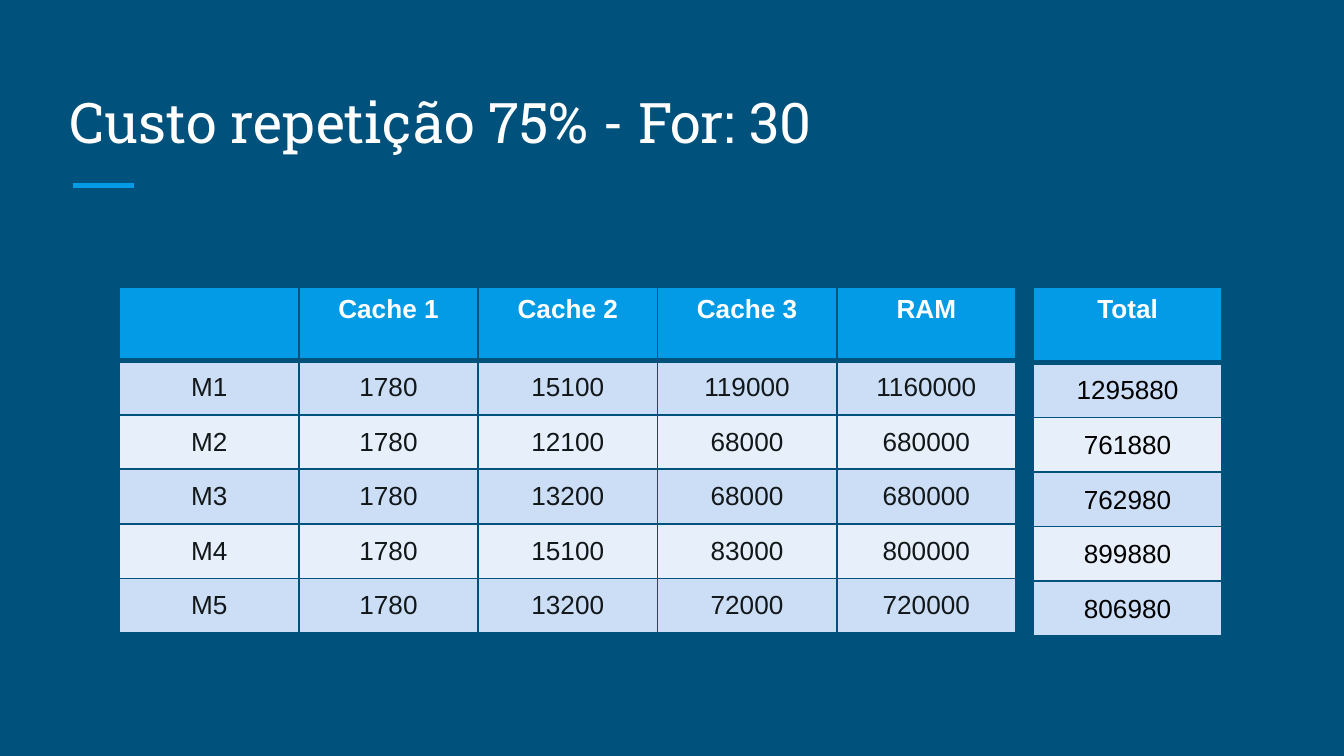
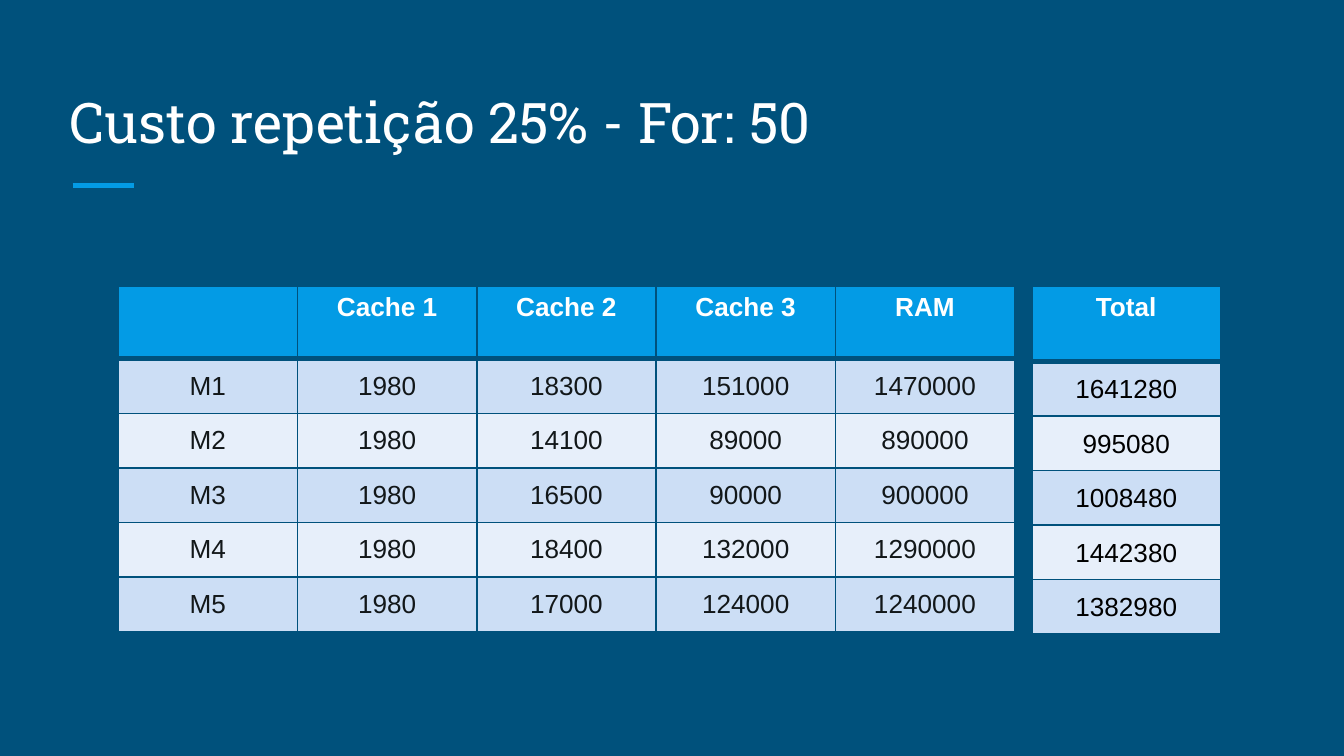
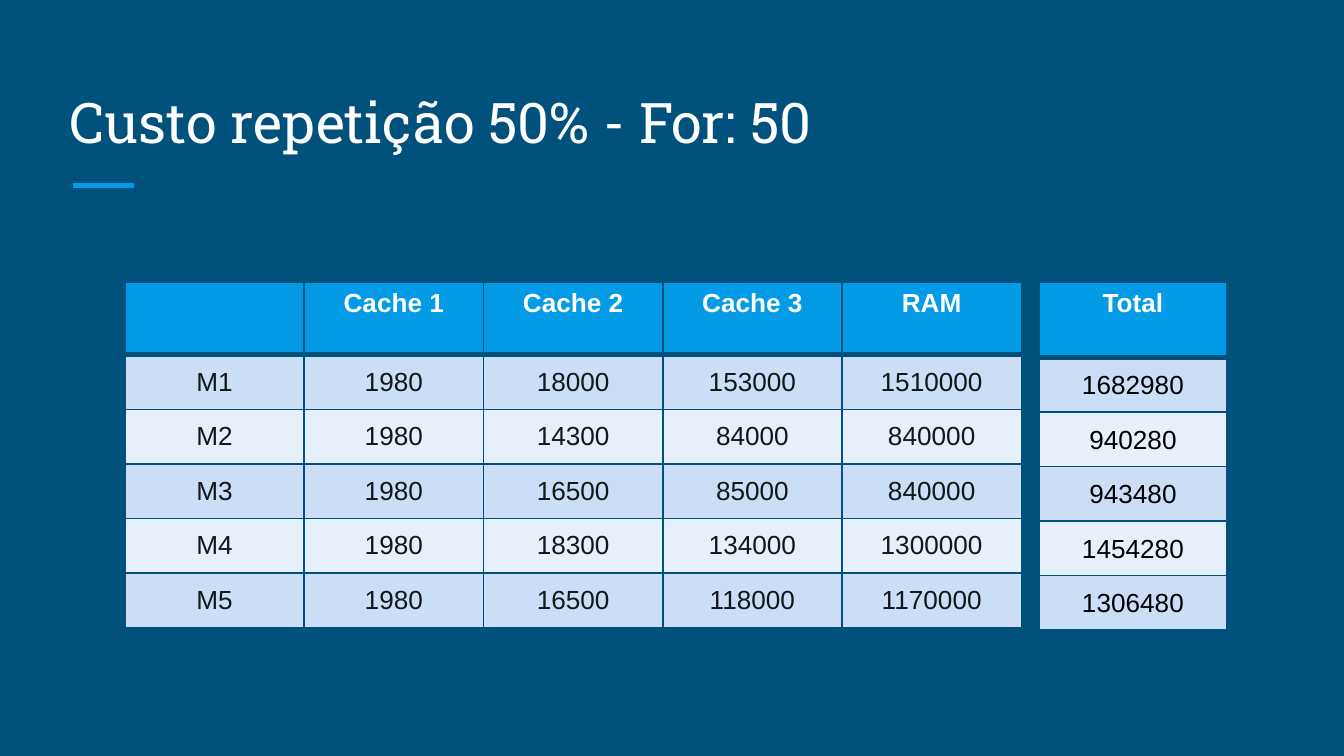
from dataclasses import dataclass

from lxml.etree import SubElement
from pptx import Presentation
from pptx.dml.color import RGBColor
from pptx.enum.shapes import MSO_CONNECTOR
from pptx.enum.text import MSO_ANCHOR, PP_ALIGN
from pptx.oxml.ns import qn
from pptx.slide import Slide
from pptx.table import _Cell
from pptx.util import Inches, Pt

NAVY = RGBColor(0x00, 0x51, 0x7C)
BLUE = RGBColor(0x03, 0x9B, 0xE5)
WHITE = RGBColor(0xFF, 0xFF, 0xFF)
BLACK = RGBColor(0x00, 0x00, 0x00)
INK = RGBColor(0x12, 0x17, 0x19)
BANDS = (RGBColor(0xCC, 0xDE, 0xF5), RGBColor(0xE7, 0xEF, 0xFA))
HEADS = ["", "Cache 1", "Cache 2", "Cache 3", "RAM"]
WIDTH = 6.67
SHIFT = 6.8
BODY = 2.03
THIN, THICK = 1, 3


@dataclass
class Grid:
    left: float
    top: float
    width: float
    head: float
    rows: list[list[str]]
    ink: RGBColor
    tight: bool = False


@dataclass
class Page:
    title: str
    left: float
    top: float
    first: int
    costs: list[tuple[int, int, int]]

    def grids(self) -> tuple[Grid, Grid]:
        main, total = [HEADS], [["Total"]]
        for num, row in enumerate(self.costs, 1):
            costs = (self.first, *row)
            main.append([f"M{num}", *map(str, costs)])
            total.append([str(sum(costs))])
        return (
            Grid(self.left, self.top, WIDTH, 0.54, main, INK),
            Grid(self.left + SHIFT, self.top, 1.4, 0.56, total, BLACK, True),
        )


PAGES = [
    Page("Custo repetição 75% - For: 30", 0.89, 2.14, 1780, [
        (15100, 119000, 1160000),
        (12100, 68000, 680000),
        (13200, 68000, 680000),
        (15100, 83000, 800000),
        (13200, 72000, 720000),
    ]),
    Page("Custo repetição 25% - For: 50", 0.88, 2.13, 1980, [
        (18300, 151000, 1470000),
        (14100, 89000, 890000),
        (16500, 90000, 900000),
        (18400, 132000, 1290000),
        (17000, 124000, 1240000),
    ]),
    Page("Custo repetição 50% - For: 50", 0.93, 2.1, 1980, [
        (18000, 153000, 1510000),
        (14300, 84000, 840000),
        (16500, 85000, 840000),
        (18300, 134000, 1300000),
        (16500, 118000, 1170000),
    ]),
]


def add_edges(cell: _Cell, row: int) -> None:
    props = cell._tc.get_or_add_tcPr()
    sizes = {
        "L": THIN,
        "R": THIN,
        "T": THICK if row == 1 else THIN,
        "B": THICK if row == 0 else THIN,
    }
    for side, size in sizes.items():
        line = SubElement(props, qn(f"a:ln{side}"), w=str(Pt(size)))
        fill = SubElement(line, qn("a:solidFill"))
        SubElement(fill, qn("a:srgbClr"), val=str(NAVY))


def fill_cell(cell: _Cell, text: str, row: int, grid: Grid) -> None:
    add_edges(cell, row)
    cell.fill.solid()
    cell.fill.fore_color.rgb = BANDS[(row - 1) % 2] if row else BLUE
    if row:
        cell.vertical_anchor = MSO_ANCHOR.MIDDLE
        if grid.tight:
            cell.margin_left = cell.margin_right = cell.margin_top = Inches(0.01)
            cell.margin_bottom = Inches(0)
    para = cell.text_frame.paragraphs[0]
    para.text = text
    para.alignment = PP_ALIGN.CENTER
    for run in para.runs:
        run.font.name = "Arial"
        run.font.size = Pt(14)
        run.font.bold = row == 0
        run.font.color.rgb = grid.ink if row else WHITE


def add_grid(slide: Slide, grid: Grid) -> None:
    count, cols = len(grid.rows), len(grid.rows[0])
    table = slide.shapes.add_table(
        count, cols, Inches(grid.left), Inches(grid.top),
        Inches(grid.width), Inches(grid.head + BODY),
    ).table
    table.first_row = table.horz_banding = False
    for col in table.columns:
        col.width = Inches(grid.width / cols)
    for num, texts in enumerate(grid.rows):
        table.rows[num].height = Inches(BODY / (count - 1) if num else grid.head)
        for col, text in enumerate(texts):
            fill_cell(table.cell(num, col), text, num, grid)


def add_title(slide: Slide, text: str) -> None:
    rule = slide.shapes.add_connector(
        MSO_CONNECTOR.STRAIGHT, Inches(0.54), Inches(1.38), Inches(1), Inches(1.38)
    )
    rule.line.color.rgb = BLUE
    rule.line.width = Pt(3)
    SubElement(rule._element.spPr, qn("a:effectLst"))
    box = slide.shapes.add_textbox(Inches(0.42), Inches(0.5), Inches(9.15), Inches(0.75))
    frame = box.text_frame
    frame.text = text
    frame.word_wrap = True
    frame.vertical_anchor = MSO_ANCHOR.BOTTOM
    frame.margin_left = frame.margin_right = Inches(0.1)
    frame.margin_top = frame.margin_bottom = Inches(0.1)
    font = frame.paragraphs[0].runs[0].font
    font.name = "Roboto Slab"
    font.size = Pt(30)
    font.color.rgb = WHITE


def main() -> None:
    deck = Presentation()
    deck.slide_width = Inches(10)
    deck.slide_height = Inches(10 * 9 / 16)
    back = deck.slide_master.background.fill
    back.solid()
    back.fore_color.rgb = NAVY
    for page in PAGES:
        slide = deck.slides.add_slide(deck.slide_layouts[6])
        add_title(slide, page.title)
        for grid in page.grids():
            add_grid(slide, grid)
    deck.save("out.pptx")


main()
